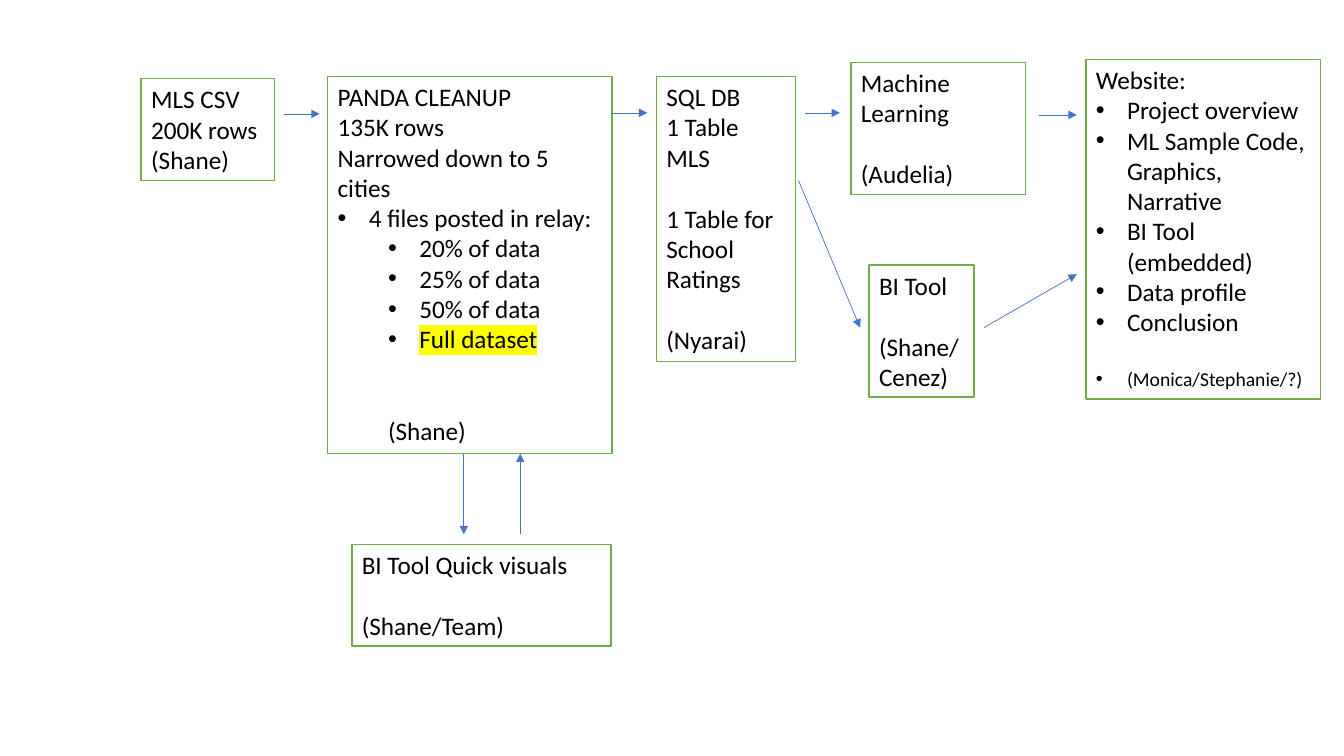
from dataclasses import dataclass

from lxml import etree
from pptx import Presentation
from pptx.dml.color import RGBColor
from pptx.enum.shapes import MSO_CONNECTOR
from pptx.enum.text import MSO_ANCHOR, MSO_AUTO_SIZE
from pptx.oxml.ns import qn
from pptx.util import Inches, Pt

STRAIGHT = MSO_CONNECTOR.STRAIGHT
TOP = MSO_ANCHOR.TOP
GROW = MSO_AUTO_SIZE.SHAPE_TO_FIT_TEXT


@dataclass(frozen=True)
class Theme:
    font: str = "Calibri"
    text: str = "000000"
    fill: str = "FFFFFF"
    border: str = "70AD47"
    arrow: str = "4472C4"
    highlight: str = "FFFF00"
    body: int = 18
    small: int = 14
    gap: int = 22
    border_width: float = 1
    arrow_width: float = 0.5


THEME = Theme()


@dataclass(frozen=True)
class Line:
    text: str
    bullet: bool = False
    indent: float = 0
    gaps: int = 0
    size: int = THEME.body
    highlight: bool = False


def rgb(value):
    return RGBColor.from_string(value)


def bullet(text, level=0, **kwargs):
    return Line(text, bullet=True, indent=0.31 + 0.5 * level, **kwargs)


def set_indent(p, line):
    pPr = p._p.get_or_add_pPr()
    pPr.set("marL", str(Inches(line.indent)))
    pPr.set("indent", str(Inches(-0.31 if line.bullet else 0)))
    if line.bullet:
        etree.SubElement(pPr, qn("a:buFont"), typeface="Arial")
        etree.SubElement(pPr, qn("a:buChar"), char="•")


def set_highlight(r):
    highlight = etree.Element(qn("a:highlight"))
    etree.SubElement(highlight, qn("a:srgbClr"), val=THEME.highlight)
    r._r.get_or_add_rPr().find(qn("a:solidFill")).addnext(highlight)


def write_line(p, line):
    if line.gaps:
        p.space_before = Pt(THEME.gap * line.gaps)
    set_indent(p, line)
    r = p.add_run()
    r.text = line.text
    r.font.name = THEME.font
    r.font.size = Pt(line.size)
    r.font.color.rgb = rgb(THEME.text)
    if line.highlight:
        set_highlight(r)


def add_box(s, left, top, width, height, lines):
    sp = s.shapes.add_textbox(Inches(left), Inches(top), Inches(width), Inches(height))
    sp.fill.solid()
    sp.fill.fore_color.rgb = rgb(THEME.fill)
    sp.line.color.rgb = rgb(THEME.border)
    sp.line.width = Pt(THEME.border_width)
    tf = sp.text_frame
    tf.word_wrap = True
    tf.auto_size = GROW
    tf.vertical_anchor = TOP
    for i, line in enumerate(lines):
        p = tf.add_paragraph() if i else tf.paragraphs[0]
        write_line(p, line)


def add_arrow(s, x1, y1, x2, y2):
    cxn = s.shapes.add_connector(STRAIGHT, Inches(x1), Inches(y1), Inches(x2), Inches(y2))
    cxn.line.color.rgb = rgb(THEME.arrow)
    cxn.line.width = Pt(THEME.arrow_width)
    etree.SubElement(cxn.line._get_or_add_ln(), qn("a:tailEnd"), type="triangle")
    etree.SubElement(cxn._element.spPr, qn("a:effectLst"))


def main():
    prs = Presentation()
    prs.slide_width = Inches(13.33)
    prs.slide_height = Inches(7.5)
    s = prs.slides.add_slide(prs.slide_layouts[6])

    add_box(s, 1.4, 0.78, 1.32, 1.01,
            [Line("MLS CSV"), Line("200K rows"), Line("(Shane)")])
    add_box(s, 3.25, 0.76, 2.82, 3.74, [
        Line("PANDA CLEANUP"),
        Line("135K rows"),
        Line("Narrowed down to 5 cities"),
        bullet("4 files posted in relay:"),
        *[bullet(f"{share}% of data", level=1) for share in (20, 25, 50)],
        bullet("Full dataset", level=1, highlight=True),
        Line("(Shane)", indent=0.5, gaps=2),
    ])
    add_box(s, 6.51, 0.76, 1.38, 2.83, [
        Line("SQL DB"),
        Line("1 Table MLS"),
        Line("1 Table for School Ratings", gaps=1),
        Line("(Nyarai)", gaps=1),
    ])
    add_box(s, 8.44, 0.62, 1.73, 1.31,
            [Line("Machine Learning"), Line("(Audelia)", gaps=1)])
    add_box(s, 8.62, 2.63, 1.04, 1.31,
            [Line("BI Tool"), Line("(Shane/Cenez)", gaps=1)])
    add_box(s, 10.77, 0.59, 2.33, 3.37, [
        Line("Website:"),
        bullet("Project overview"),
        bullet("ML Sample Code, Graphics, Narrative"),
        bullet("BI Tool (embedded)"),
        bullet("Data profile"),
        bullet("Conclusion"),
        bullet("(Monica/Stephanie/?)", gaps=1, size=THEME.small),
    ])
    add_box(s, 3.49, 5.4, 2.57, 1.01,
            [Line("BI Tool Quick visuals"), Line("(Shane/Team)", gaps=1)])

    for ends in (
        (2.82, 1.13, 3.17, 1.13),
        (6.07, 1.12, 6.42, 1.12),
        (7.98, 1.12, 8.33, 1.12),
        (7.92, 1.79, 8.53, 3.25),
        (10.31, 1.14, 10.68, 1.14),
        (9.76, 3.25, 10.68, 2.72),
        (4.6, 4.5, 4.6, 5.3),
        (5.16, 5.3, 5.16, 4.5),
    ):
        add_arrow(s, *ends)

    prs.save("out.pptx")


main()
